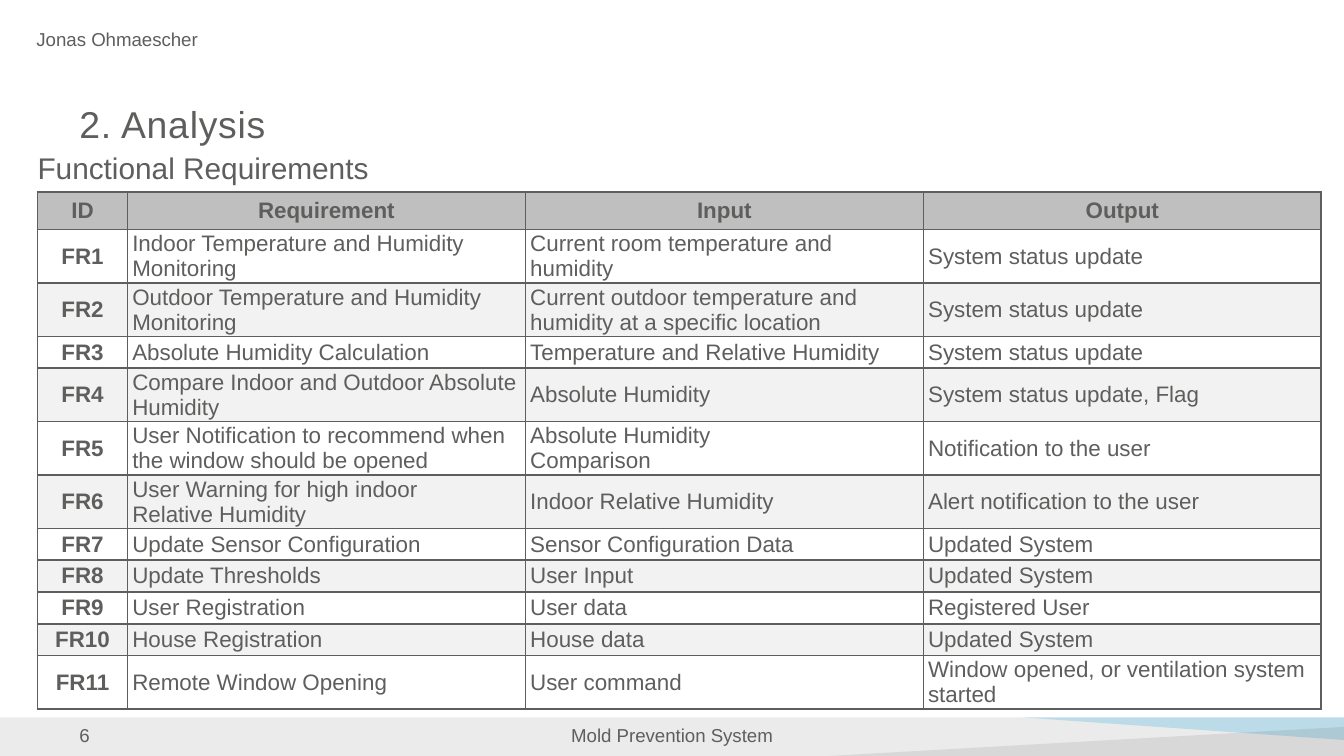
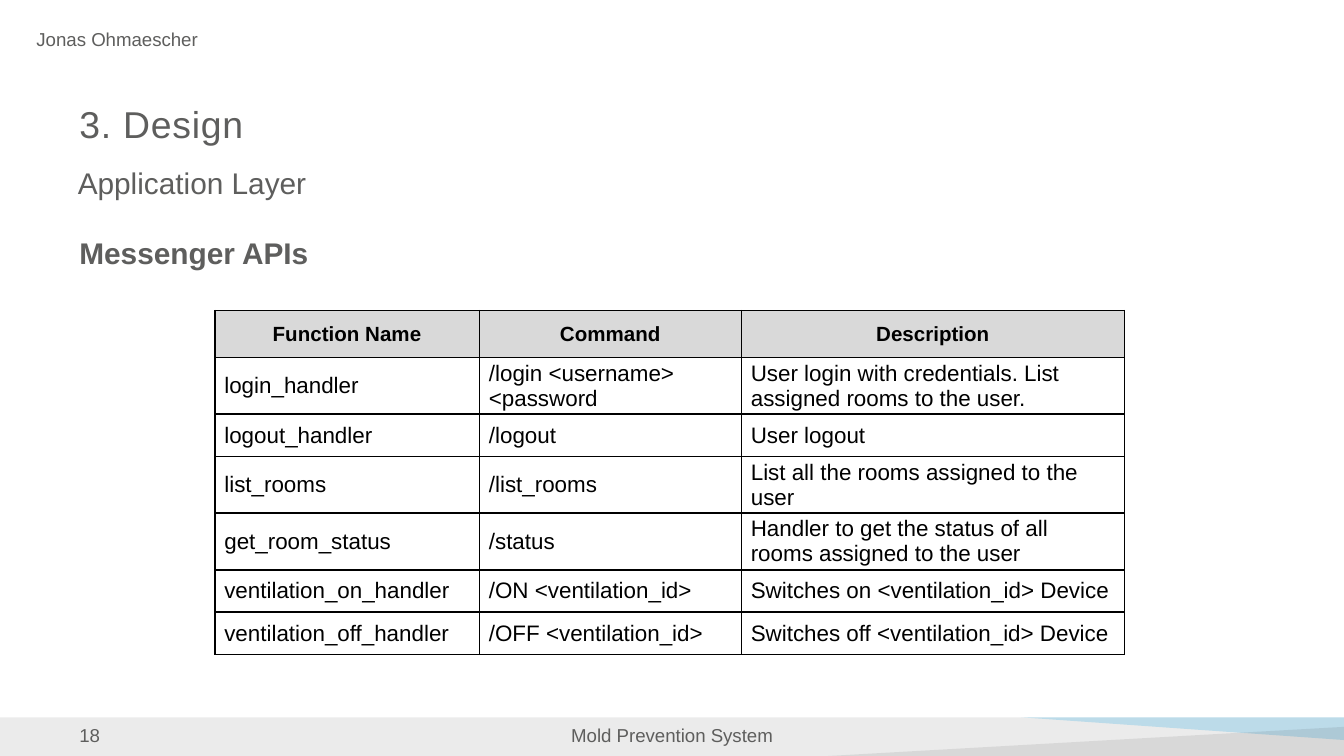
from dataclasses import dataclass

from lxml.etree import SubElement
from pptx import Presentation
from pptx.dml.color import RGBColor
from pptx.enum.shapes import MSO_SHAPE
from pptx.enum.text import MSO_ANCHOR, MSO_AUTO_SIZE, PP_ALIGN
from pptx.oxml.ns import qn
from pptx.util import Cm, Pt


@dataclass(frozen=True)
class Theme:
    font: str = "Arial"
    text: str = "5E5E5D"
    black: str = "000000"
    accent: str = "009EE3"
    header_gray: str = "BFBFBF"
    header_light: str = "D9D9D9"
    stripe: str = "F2F2F2"
    title_size: float = 20
    body_size: float = 16
    cell_size: float = 12
    small_header_size: float = 11
    footer_size: float = 10


THEME = Theme()
AUTHOR = "Jonas Ohmaescher"
PROJECT = "Mold Prevention System"
TITLE_ONE_BODY, TITLE_TWO_BODIES = 1, 3


@dataclass(frozen=True)
class TableStyle:
    color: str
    header_fill: str
    header_size: float
    inset: float
    header_height: float
    line_heights: dict
    stripe: str = ""
    bold_ids: bool = False


REQUIREMENTS_STYLE = TableStyle(
    THEME.text, THEME.header_gray, THEME.cell_size, 0.09, 0.71,
    {1: 0.6, 2: 1.01}, THEME.stripe, True)
COMMANDS_STYLE = TableStyle(
    THEME.black, THEME.header_light, THEME.small_header_size, 0.18, 0.89,
    {1: 0.8, 2: 1.07})

# Each row starts with the number of text lines it takes.
REQUIREMENTS_HEADER = ["ID", "Requirement", "Input", "Output"]
REQUIREMENTS = [
    (2, "FR1", "Indoor Temperature and Humidity Monitoring",
     "Current room temperature and humidity", "System status update"),
    (2, "FR2", "Outdoor Temperature and Humidity Monitoring",
     "Current outdoor temperature and humidity at a specific location",
     "System status update"),
    (1, "FR3", "Absolute Humidity Calculation",
     "Temperature and Relative Humidity", "System status update"),
    (2, "FR4", "Compare Indoor and Outdoor Absolute Humidity",
     "Absolute Humidity", "System status update, Flag"),
    (2, "FR5", "User Notification to recommend when the window should be opened",
     "Absolute Humidity\nComparison", "Notification to the user"),
    (2, "FR6", "User Warning for high indoor\nRelative Humidity",
     "Indoor Relative Humidity", "Alert notification to the user"),
    (1, "FR7", "Update Sensor Configuration", "Sensor Configuration Data",
     "Updated System"),
    (1, "FR8", "Update Thresholds", "User Input", "Updated System"),
    (1, "FR9", "User Registration", "User data", "Registered User"),
    (1, "FR10", "House Registration", "House data", "Updated System"),
    (2, "FR11", "Remote Window Opening", "User command",
     "Window opened, or ventilation system started"),
]

COMMANDS_HEADER = ["Function Name", "Command", "Description"]
COMMANDS = [
    (2, "login_handler", "/login <username> <password",
     "User login with credentials. List assigned rooms to the user."),
    (1, "logout_handler", "/logout", "User logout"),
    (2, "list_rooms", "/list_rooms", "List all the rooms assigned to the user"),
    (2, "get_room_status", "/status",
     "Handler to get the status of all rooms assigned to the user"),
    (1, "ventilation_on_handler", "/ON <ventilation_id>",
     "Switches on <ventilation_id> Device"),
    (1, "ventilation_off_handler", "/OFF <ventilation_id>",
     "Switches off <ventilation_id> Device"),
]


class DeckBuilder:
    def __init__(self, theme):
        self.theme = theme
        self.deck = Presentation()
        self.deck.slide_width, self.deck.slide_height = Cm(25.4), Cm(14.29)
        self.page = None

    def start_page(self, layout, number, title):
        self.page = self.deck.slides.add_slide(self.deck.slide_layouts[layout])
        for placeholder in list(self.page.placeholders):
            if placeholder.placeholder_format.idx >= 10:
                placeholder.element.getparent().remove(placeholder.element)
        self.footer_band()
        self.label(str(number), 1.5, 13.69, 2.03)
        self.label(PROJECT, 9.65, 13.69, 6.1, PP_ALIGN.CENTER)
        self.label(AUTHOR, 0.69, 0.53, 3.25)
        self.title(title)

    def footer_band(self):
        black, accent = self.theme.black, self.theme.accent
        self.tint(MSO_SHAPE.RECTANGLE, (0, 13.56, 25.4, 0.75), black, 8)
        self.tint(MSO_SHAPE.RIGHT_TRIANGLE, (19.3, 13.56, 6.1, 0.43), accent, 20,
                  ("flipH", "flipV"))
        self.tint(MSO_SHAPE.RIGHT_TRIANGLE, (15.49, 13.74, 9.91, 0.56), black, 8,
                  ("flipH",))

    def tint(self, kind, place, color, opacity, flips=()):
        """Draw a translucent shape; opacity is in percent."""
        shape = self.page.shapes.add_shape(kind, *map(Cm, place))
        shape.shadow.inherit = False
        shape.line.fill.background()
        shape.fill.solid()
        shape.fill.fore_color.rgb = RGBColor.from_string(color)
        properties = shape.element.spPr
        color_node = properties.find(f"{qn('a:solidFill')}/{qn('a:srgbClr')}")
        SubElement(color_node, qn("a:alpha"), val=str(opacity * 1000))
        for flip in flips:
            properties.find(qn("a:xfrm")).set(flip, "1")

    def style(self, para, size, color, bold=False, align=PP_ALIGN.LEFT):
        para.alignment = align
        para.font.name = self.theme.font
        para.font.size = Pt(size)
        para.font.bold = bold
        para.font.color.rgb = RGBColor.from_string(color)

    def prepare_frame(self, box, text, anchor=MSO_ANCHOR.TOP):
        """Fill a box without insets and return its paragraph."""
        frame = box.text_frame
        frame.margin_left = frame.margin_right = 0
        frame.margin_top = frame.margin_bottom = 0
        frame.word_wrap = True
        frame.auto_size = MSO_AUTO_SIZE.NONE
        frame.vertical_anchor = anchor
        frame.text = text
        return frame.paragraphs[0]

    def label(self, text, left, top, width, align=PP_ALIGN.LEFT):
        box = self.page.shapes.add_textbox(Cm(left), Cm(top), Cm(width), Cm(0.43))
        para = self.prepare_frame(box, text)
        self.style(para, self.theme.footer_size, self.theme.text, align=align)

    def place(self, box, left, top, width, height):
        box.left, box.top = Cm(left), Cm(top)
        box.width, box.height = Cm(width), Cm(height)

    def title(self, text):
        box = self.page.shapes.title
        self.place(box, 1.5, 1.85, 22.4, 0.91)
        para = self.prepare_frame(box, text, MSO_ANCHOR.BOTTOM)
        para.line_spacing = Pt(23)
        self.style(para, self.theme.title_size, self.theme.text)
        para.runs[0].font._element.set("spc", "40")

    def body(self, index, text, left, top, width=22.4, height=0.56,
             bold=False, space_after=0):
        box = self.page.placeholders[index]
        self.place(box, left, top, width, height)
        para = self.prepare_frame(box, text)
        para.line_spacing = Pt(16)
        para.space_before, para.space_after = Pt(0), Pt(space_after)
        properties = para._p.get_or_add_pPr()
        properties.set("marL", "0")
        properties.set("indent", "0")
        SubElement(properties, qn("a:buNone"))
        self.style(para, self.theme.body_size, self.theme.text, bold)

    def table(self, header, rows, left, top, widths, style):
        heights = [style.header_height]
        heights += [style.line_heights[lines] for lines, *_ in rows]
        frame = self.page.shapes.add_table(
            len(heights), len(widths), Cm(left), Cm(top),
            Cm(sum(widths)), Cm(sum(heights)))
        table = frame.table
        table.first_row = table.horz_banding = False
        for column, width in zip(table.columns, widths):
            column.width = Cm(width)
        for row, height in zip(table.rows, heights):
            row.height = Cm(height)
        for i, texts in enumerate([header] + [texts for _, *texts in rows]):
            if i == 0:
                fill = style.header_fill
            else:
                fill = style.stripe if i % 2 == 0 else ""
            for j, text in enumerate(texts):
                heading = i == 0 or (style.bold_ids and j == 0)
                size = style.header_size if i == 0 else self.theme.cell_size
                self.cell(table.cell(i, j), text, style, fill, size, heading)

    def cell(self, cell, text, style, fill, size, heading):
        cell.margin_left = cell.margin_right = Cm(style.inset)
        cell.margin_top = cell.margin_bottom = 0
        cell.vertical_anchor = MSO_ANCHOR.MIDDLE
        self.borders(cell, style.color)
        if fill:
            cell.fill.solid()
            cell.fill.fore_color.rgb = RGBColor.from_string(fill)
        else:
            cell.fill.background()
        cell.text = text
        for para in cell.text_frame.paragraphs:
            if heading:
                para.space_after = Pt(6)
            self.style(para, size, style.color, heading,
                       PP_ALIGN.CENTER if heading else PP_ALIGN.LEFT)

    def borders(self, cell, color):
        properties = cell._tc.get_or_add_tcPr()
        for side in "LRTB":
            line = SubElement(properties, qn(f"a:ln{side}"), w=str(Pt(1)))
            solid = SubElement(line, qn("a:solidFill"))
            SubElement(solid, qn("a:srgbClr"), val=color)


def main():
    builder = DeckBuilder(THEME)

    builder.start_page(TITLE_ONE_BODY, 6, "2. Analysis")
    builder.body(1, "Functional Requirements", 0.71, 2.95)
    builder.table(REQUIREMENTS_HEADER, REQUIREMENTS, 0.71, 3.63,
                  [1.7] + [7.52] * 3, REQUIREMENTS_STYLE)

    builder.start_page(TITLE_TWO_BODIES, 18, "3. Design")
    builder.body(1, "Application Layer", 1.47, 3.23)
    builder.body(2, "Messenger APIs", 1.5, 4.55, 10.9, 8,
                 bold=True, space_after=7.5)
    builder.table(COMMANDS_HEADER, COMMANDS, 4.06, 5.87,
                  [5, 4.95, 7.24], COMMANDS_STYLE)

    builder.deck.save("out.pptx")


if __name__ == "__main__":
    main()
